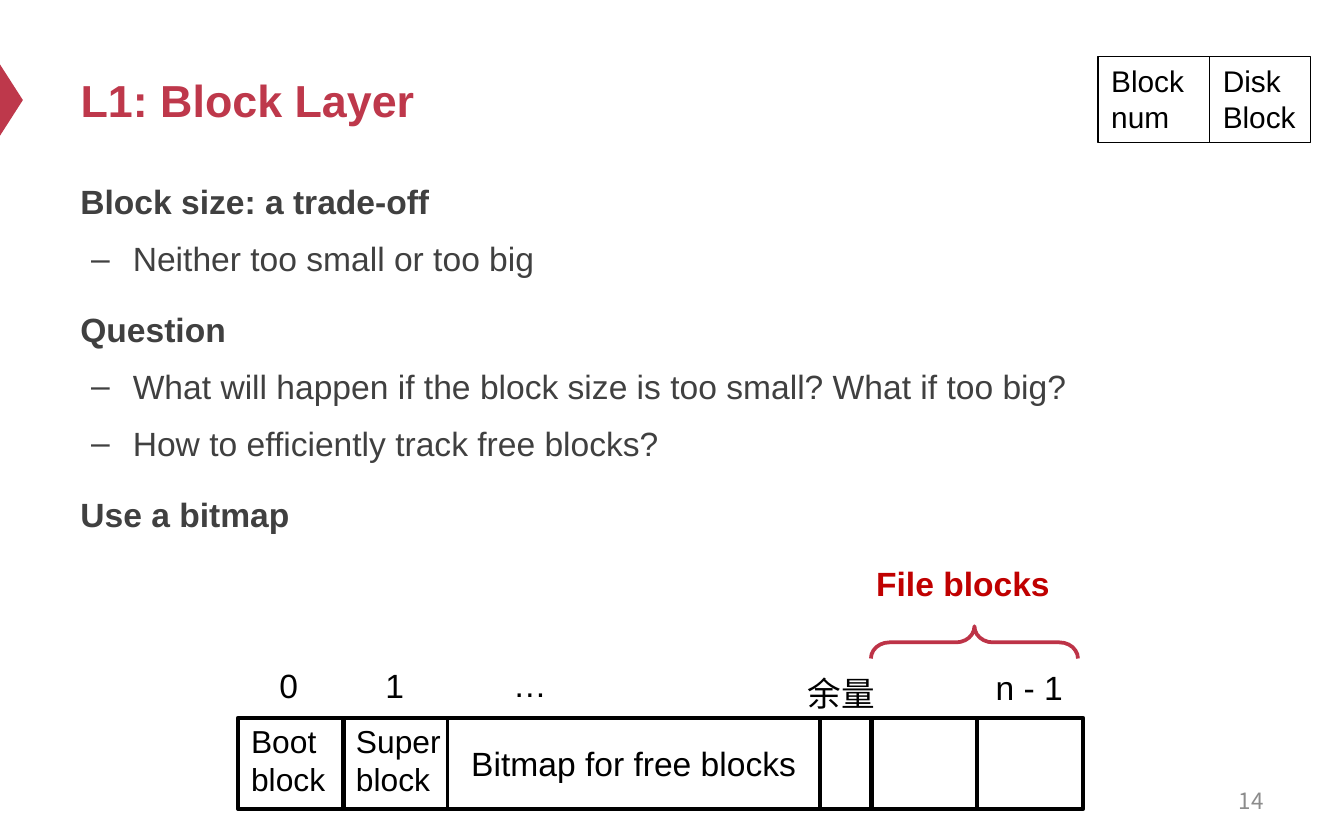
from lxml.etree import SubElement
from pptx import Presentation
from pptx.dml.color import RGBColor
from pptx.enum.shapes import MSO_SHAPE
from pptx.enum.text import MSO_ANCHOR, PP_ALIGN
from pptx.oxml.ns import qn
from pptx.util import Inches, Pt

BLACK = RGBColor(0x00, 0x00, 0x00)
WHITE = RGBColor(0xFF, 0xFF, 0xFF)
CRIMSON = RGBColor(0xBE, 0x38, 0x4B)
BRACE_RED = RGBColor(0xBD, 0x33, 0x47)
DARK_RED = RGBColor(0xC0, 0x00, 0x00)
CHARCOAL = RGBColor(0x40, 0x40, 0x40)
GRAY = RGBColor(0x8C, 0x8C, 0x8C)


class SlideBuilder:
    font = "Arial"

    def __init__(self, slide):
        self.s = slide

    def run(self, p, text, size, color=BLACK, bold=False, font=None):
        r = p.add_run()
        r.text = text
        r.font.name = font or self.font
        r.font.size = Pt(size)
        r.font.bold = bold
        r.font.color.rgb = color

    def lines(self, sp, lines, size, align=PP_ALIGN.LEFT, anchor=MSO_ANCHOR.TOP,
              wrap=True, **style):
        tf = sp.text_frame
        tf.word_wrap = wrap
        tf.vertical_anchor = anchor
        for i, text in enumerate(lines):
            p = tf.add_paragraph() if i else tf.paragraphs[0]
            p.alignment = align
            self.run(p, text, size, **style)

    def title(self, text, x, y, w, h):
        sp = self.s.shapes.title
        sp.left, sp.top, sp.width, sp.height = map(Inches, (x, y, w, h))
        self.lines(sp, [text], 24, anchor=MSO_ANCHOR.MIDDLE, color=CRIMSON, bold=True)

    def text(self, lines, x, y, w, h, size=18, **style):
        sp = self.s.shapes.add_textbox(*map(Inches, (x, y, w, h)))
        self.lines(sp, lines, size, **style)

    def shape(self, kind, x, y, w, h, fill=None, line=None, width=2, rotation=0):
        sp = self.s.shapes.add_shape(kind, *map(Inches, (x, y, w, h)))
        sp.shadow.inherit = False
        sp.rotation = rotation
        if fill is None:
            sp.fill.background()
        else:
            sp.fill.solid()
            sp.fill.fore_color.rgb = fill
        if line is None:
            sp.line.fill.background()
        else:
            sp.line.color.rgb = line
            sp.line.width = Pt(width)
        return sp

    def outline(self, items, x, y, w, h):
        tf = self.s.shapes.add_textbox(*map(Inches, (x, y, w, h))).text_frame
        tf.word_wrap = True
        for i, (level, text) in enumerate(items):
            p = tf.add_paragraph() if i else tf.paragraphs[0]
            p.line_spacing = 1.2
            if level:
                p.level = level
                p.space_before = Pt(4.6)
                pPr = p._p.get_or_add_pPr()
                pPr.set("marL", str(Inches(0.39)))
                pPr.set("indent", str(Inches(-0.31)))
                SubElement(pPr, qn("a:buFont"), typeface=self.font)
                SubElement(pPr, qn("a:buChar"), char="–")
            else:
                p.space_before = Pt(12 if i else 0)
            self.run(p, text, 18, CHARCOAL, bold=not level)


def main():
    prs = Presentation()
    prs.slide_width, prs.slide_height = Inches(10), Inches(6.25)
    b = SlideBuilder(prs.slides.add_slide(prs.slide_layouts[5]))

    b.shape(MSO_SHAPE.ISOSCELES_TRIANGLE, -0.18, 0.66, 0.53, 0.17, fill=CRIMSON, rotation=90)
    b.title("L1: Block Layer", 0.5, 0.25, 9, 0.98)
    b.outline([
        (0, "Block size: a trade-off"),
        (1, "Neither too small or too big"),
        (0, "Question"),
        (1, "What will happen if the block size is too small? What if too big?"),
        (1, "How to efficiently track free blocks?"),
        (0, "Use a bitmap"),
    ], 0.5, 1.24, 9, 4.12)
    b.text(["14"], 7.17, 5.79, 2.33, 0.33, size=12, align=PP_ALIGN.RIGHT,
           anchor=MSO_ANCHOR.MIDDLE, color=GRAY, font="Noto Sans CJK SC")

    for x, w, lines in [(9, 0.75, ["Disk", "Block"]), (8.17, 0.83, ["Block num"])]:
        sp = b.shape(MSO_SHAPE.RECTANGLE, x, 0.42, w, 0.64, line=BLACK, width=0.75)
        b.lines(sp, lines, 16)

    disk_top, block_w, block_h = 5.34, 0.79, 0.68
    for x in (1.77, 2.55, 4.89, 5.7, 6.48, 7.27):
        b.shape(MSO_SHAPE.RECTANGLE, x, disk_top, block_w, block_h, line=BLACK)
    for x, w, name in [(1.77, 0.76, "Boot"), (2.55, 0.84, "Super")]:
        b.text([name, "block"], x, 5.32, w, 0.67, size=17, wrap=False)
    bitmap = b.shape(MSO_SHAPE.RECTANGLE, 3.33, disk_top, 2.77, block_h, fill=WHITE, line=BLACK)
    b.lines(bitmap, ["Bitmap for free blocks"], 18, PP_ALIGN.CENTER, MSO_ANCHOR.MIDDLE)

    for x, y, w, label in [(1.98, 4.9, 0.34, "0"), (2.77, 4.9, 0.34, "1"),
                           (3.72, 4.89, 0.45, "…"), (5.91, 4.96, 0.86, "余量"),
                           (7.31, 4.91, 0.71, "n - 1")]:
        b.text([label], x, y, w, 0.4, wrap=False)

    brace = b.shape(MSO_SHAPE.LEFT_BRACE, 7.13, 4.01, 0.24, 1.54, line=BRACE_RED, rotation=90)
    brace.adjustments[0] = 0.57
    b.text(["File blocks"], 6.41, 4.14, 1.51, 0.4, align=PP_ALIGN.CENTER, wrap=False,
           color=DARK_RED, bold=True)

    prs.save("out.pptx")


if __name__ == "__main__":
    main()
